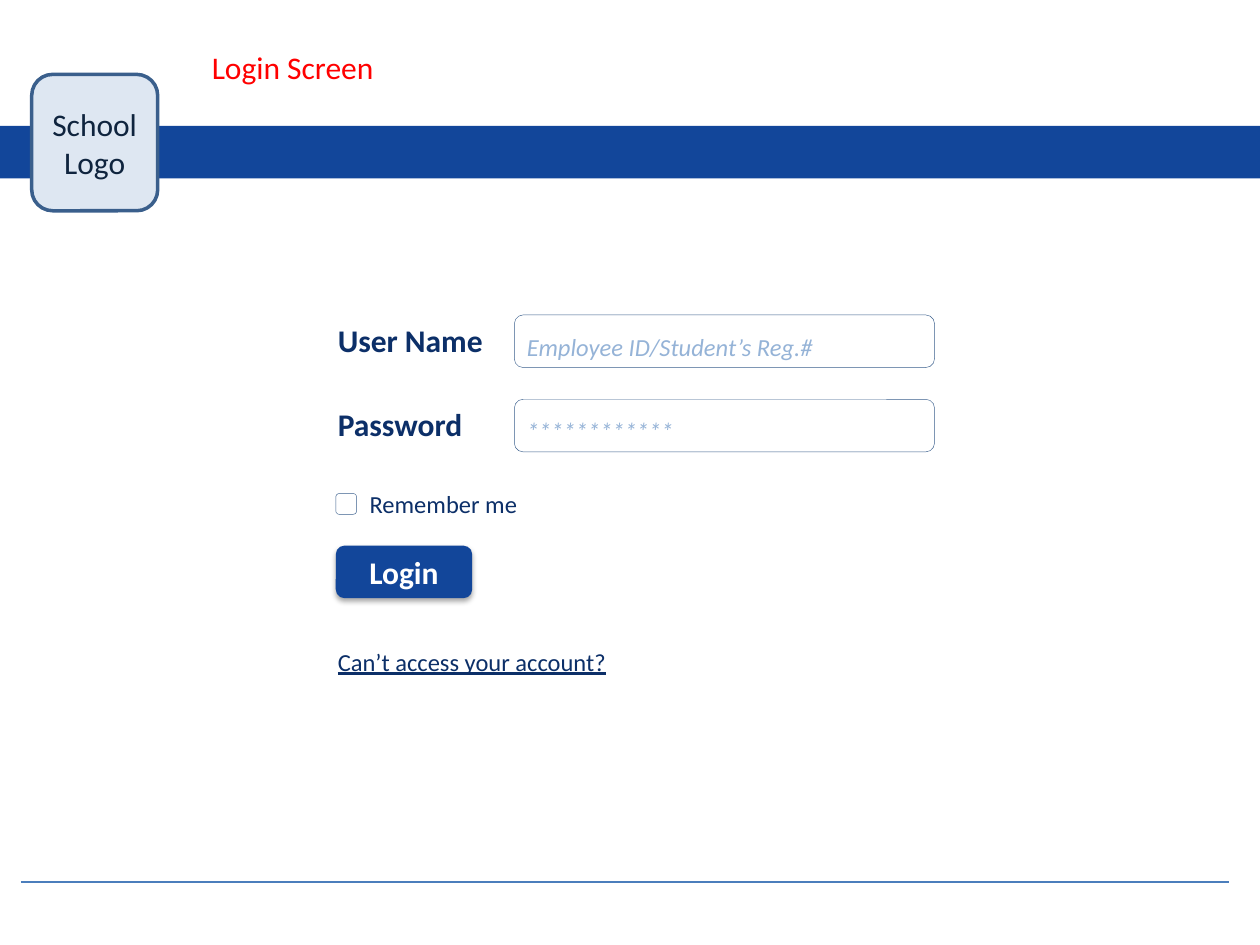
from dataclasses import dataclass

from lxml import etree
from pptx import Presentation
from pptx.dml.color import RGBColor
from pptx.enum.shapes import MSO_CONNECTOR, MSO_SHAPE
from pptx.enum.text import MSO_ANCHOR, MSO_AUTO_SIZE, PP_ALIGN
from pptx.oxml import parse_xml
from pptx.oxml.ns import nsdecls, qn
from pptx.util import Cm, Pt

RECT = MSO_SHAPE.RECTANGLE
ROUND = MSO_SHAPE.ROUNDED_RECTANGLE
STRAIGHT = MSO_CONNECTOR.STRAIGHT
MIDDLE = MSO_ANCHOR.MIDDLE
GROW = MSO_AUTO_SIZE.SHAPE_TO_FIT_TEXT
CENTER = PP_ALIGN.CENTER


@dataclass(frozen=True)
class Theme:
    """Font, type sizes and colours of the login screen."""
    font: str = "Calibri"
    large: int = 18
    small: int = 14
    blue: str = "12469A"
    navy: str = "0C2F68"
    ink: str = "0F243E"
    pale: str = "DEE7F2"
    hint: str = "95B3D7"
    edge: str = "3A5F8C"
    rule: str = "4B7EBC"
    red: str = "FF0000"
    white: str = "FFFFFF"


THEME = Theme()


def write(shape, text, size, color, bold=False, italic=False, under=False):
    """Fill a shape with one styled paragraph and return the paragraph."""
    para = shape.text_frame.paragraphs[0]
    para.text = text
    font = para.font
    font.name, font.size = THEME.font, Pt(size)
    font.bold, font.italic, font.underline = bold, italic, under
    font.color.rgb = RGBColor.from_string(color)
    return para


def add_text(slide, box, text, size, color, wrap=True, **style):
    """Add a text box that grows with its text."""
    label = slide.shapes.add_textbox(*map(Cm, box))
    label.text_frame.word_wrap = wrap
    label.text_frame.auto_size = GROW
    write(label, text, size, color, **style)


def add_box(slide, box, kind=ROUND, fill=None, line=None, width=0.25):
    """Add a flat shape with an optional fill and outline."""
    shape = slide.shapes.add_shape(kind, *map(Cm, box))
    shape.shadow.inherit = False
    if fill:
        shape.fill.solid()
        shape.fill.fore_color.rgb = RGBColor.from_string(fill)
    else:
        shape.fill.background()
    if line:
        shape.line.color.rgb = RGBColor.from_string(line)
        shape.line.width = Pt(width)
    else:
        shape.line.fill.background()
    return shape


def add_label(shape, text, color, bold=False):
    """Centre a large label inside a shape."""
    shape.text_frame.word_wrap = True
    shape.text_frame.vertical_anchor = MIDDLE
    write(shape, text, THEME.large, color, bold).alignment = CENTER


def add_shadow(shape):
    """Cast a soft shadow straight down from a shape."""
    effects = shape.element.spPr.find(qn("a:effectLst"))
    effects.append(parse_xml(
        f'<a:outerShdw {nsdecls("a")} blurRad="{Pt(3.1)}" dist="{Pt(1.8)}" '
        'dir="5400000" rotWithShape="0"><a:srgbClr val="000000">'
        '<a:alpha val="35000"/></a:srgbClr></a:outerShdw>'))


def add_rule(slide, left, right, top):
    """Draw a thin horizontal line."""
    line = slide.shapes.add_connector(
        STRAIGHT, Cm(left), Cm(top), Cm(right), Cm(top))
    line.line.color.rgb = RGBColor.from_string(THEME.rule)
    line.line.width = Pt(0.75)
    etree.SubElement(line.element.spPr, qn("a:effectLst"))


def add_field(slide, top, name, hint, width):
    """Add a named input field with its hint."""
    add_text(slide, (6.56, top, 4, 1.02), name, THEME.large, THEME.navy,
             bold=True)
    add_box(slide, (10.37, top, 8.47, 1.06), line=THEME.edge)
    add_text(slide, (10.37, top + 0.21, width, 0.86), hint, THEME.small,
             THEME.hint, wrap=False, italic=True)


def add_header(slide):
    """Add the title, the blue bar and the school badge."""
    add_text(slide, (4.02, 0.85, 3.81, 1.02), "Login Screen", THEME.large,
             THEME.red, wrap=False)
    add_box(slide, (0, 2.54, 25.4, 1.06), RECT, THEME.blue)
    badge = add_box(slide, (0.64, 1.5, 2.54, 2.75), fill=THEME.pale,
                    line=THEME.edge, width=2)
    add_label(badge, "School Logo", THEME.ink)


def add_form(slide):
    """Add the fields, the check box, the button and the help text."""
    fields = (("User Name", "Employee ID/Student’s Reg.#", 6.32),
              ("Password", "*" * 12, 3.51))
    for row, field in enumerate(fields):
        add_field(slide, 6.35 + 1.7 * row, *field)
    add_box(slide, (6.77, 9.95, 0.42, 0.42), line=THEME.edge)
    add_text(slide, (7.2, 9.74, 5.28, 0.86), "Remember me", THEME.small,
             THEME.navy)
    button = add_box(slide, (6.77, 11, 2.75, 1.06), fill=THEME.blue)
    add_shadow(button)
    add_label(button, "Login", THEME.white, bold=True)
    add_text(slide, (6.56, 12.91, 6.15, 0.85), "Can’t access your account?",
             THEME.small, THEME.navy, under=True)


def main():
    """Build the login slide and save it."""
    deck = Presentation()
    deck.slide_width, deck.slide_height = Cm(25.4), Cm(19.05)
    slide = deck.slides.add_slide(deck.slide_layouts[6])
    add_header(slide)
    add_form(slide)
    add_rule(slide, 0.42, 24.77, 17.78)
    deck.save("out.pptx")


main()
